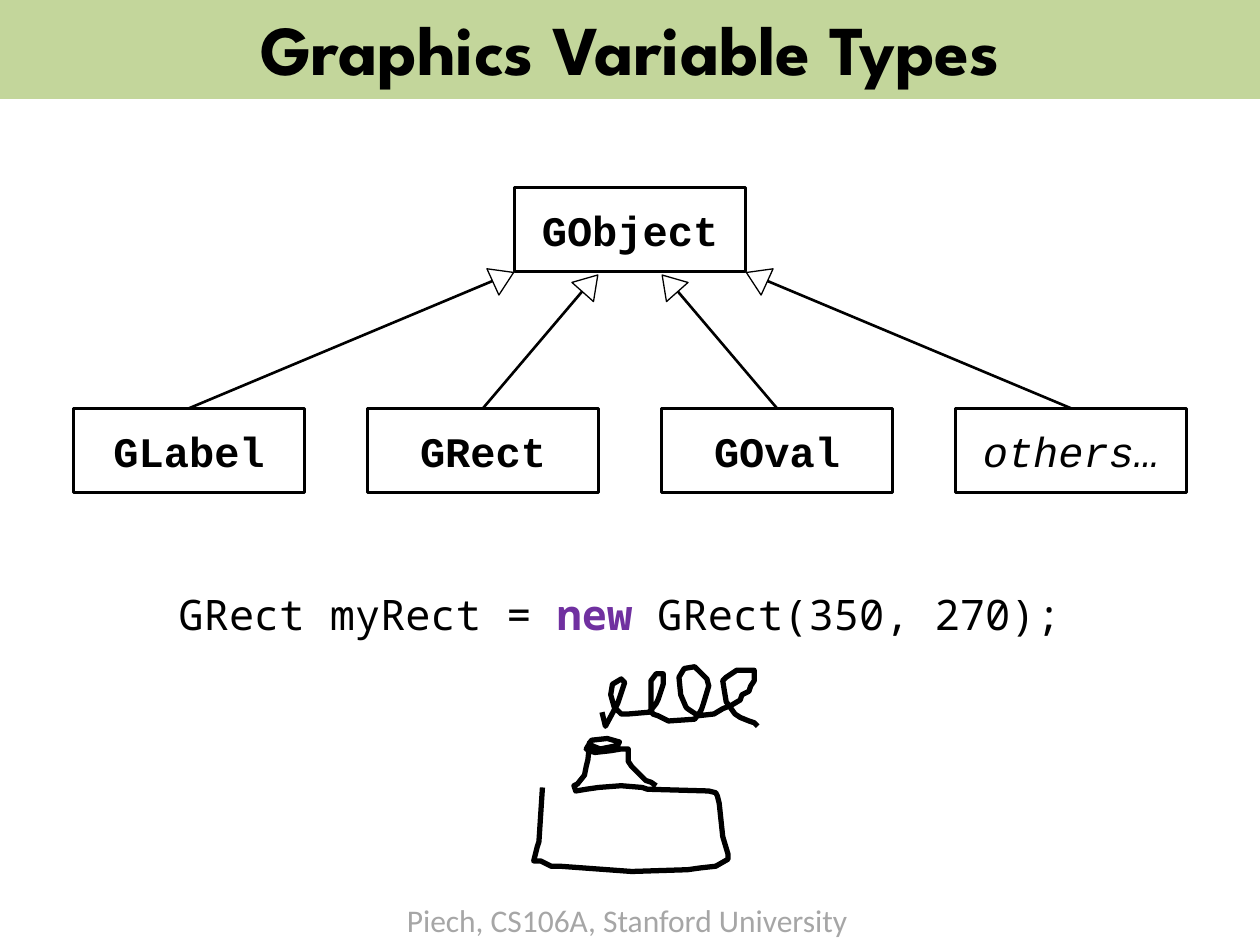
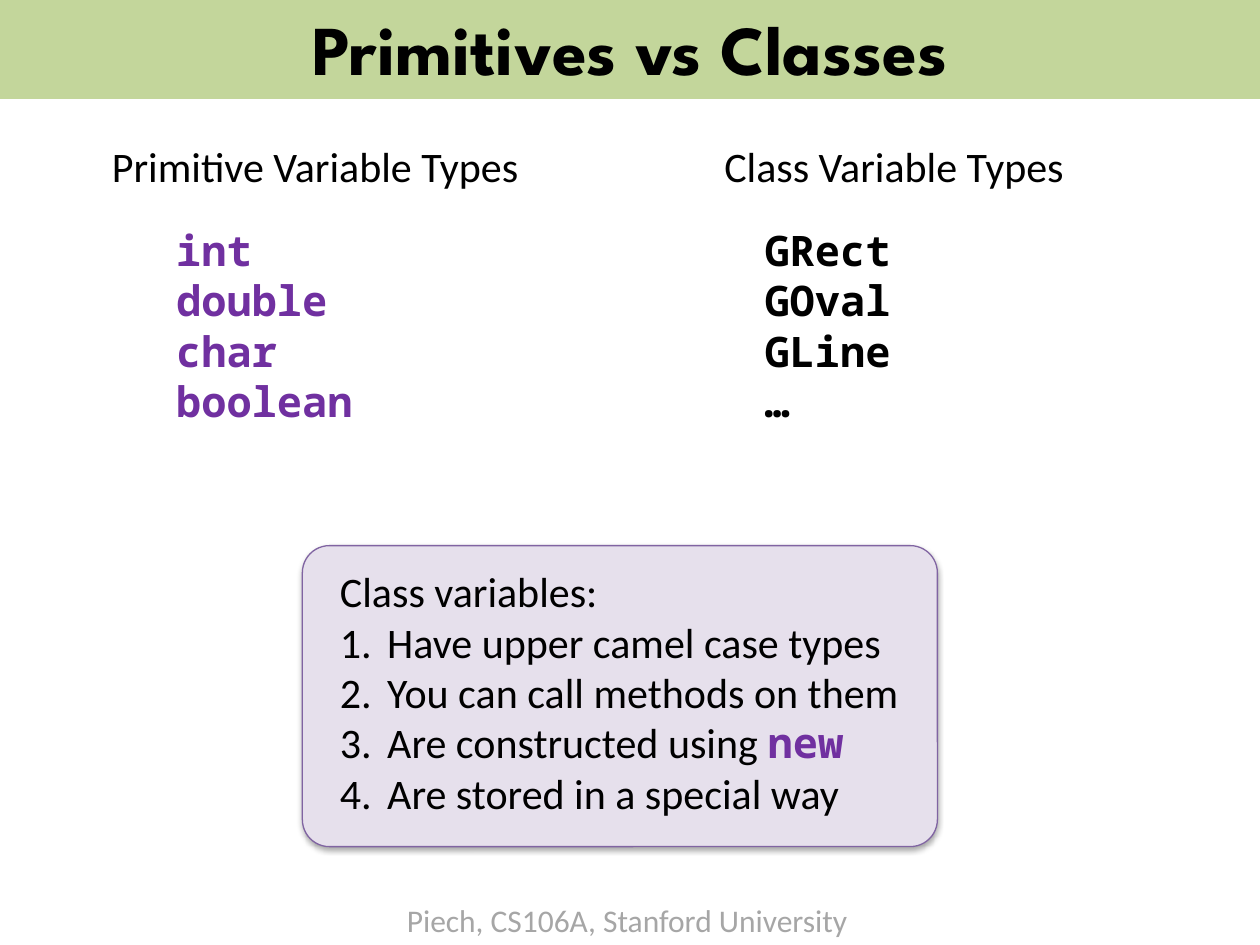
from dataclasses import dataclass

from lxml import etree
from pptx import Presentation
from pptx.dml.color import RGBColor
from pptx.enum import shapes, text
from pptx.oxml import parse_xml
from pptx.oxml.ns import nsdecls, qn
from pptx.util import Pt


@dataclass(frozen=True)
class Theme:
    black: str = "000000"
    white: str = "FFFFFF"
    band: str = "C3D69B"
    keyword: str = "7030A0"
    footer: str = "A6A6A6"
    panel: str = "E6E0EC"
    panel_line: str = "8064A2"
    title_font: str = "League Spartan"
    body_font: str = "Calibri"
    code_font: str = "Noto Sans Mono"
    class_font: str = "Courier New"
    title_size: int = 40
    body_size: int = 24
    footer_size: int = 18


theme = Theme()


def write(shape, lines, font=theme.body_font, size=theme.body_size, color=theme.black,
          bold=False, italic=False, align=text.PP_ALIGN.LEFT,
          anchor=text.MSO_ANCHOR.TOP, wrap=False, grow=True):
    """Fill a shape with lines; a line is a string or a list of (string, format changes)."""
    frame = shape.text_frame
    frame.word_wrap = wrap
    frame.vertical_anchor = anchor
    frame.auto_size = text.MSO_AUTO_SIZE.SHAPE_TO_FIT_TEXT if grow else text.MSO_AUTO_SIZE.NONE
    for index, line in enumerate(lines):
        paragraph = frame.add_paragraph() if index else frame.paragraphs[0]
        paragraph.alignment = align
        for words, changes in [(line, {})] if isinstance(line, str) else line:
            look = dict(font=font, color=color, bold=bold) | changes
            run = paragraph.add_run()
            run.text = words
            run.font.name = look["font"]
            run.font.size = Pt(size)
            run.font.bold = look["bold"]
            run.font.italic = italic
            run.font.color.rgb = RGBColor.from_string(look["color"])
    return shape


def add_box(slide, kind, left, top, width, height, fill=theme.white, line=theme.black, weight=1.5):
    shape = slide.shapes.add_shape(kind, Pt(left), Pt(top), Pt(width), Pt(height))
    shape.shadow.inherit = False
    shape.fill.solid()
    shape.fill.fore_color.rgb = RGBColor.from_string(fill)
    shape.line.color.rgb = RGBColor.from_string(line)
    shape.line.width = Pt(weight)
    return shape


presentation = Presentation()
presentation.slide_width, presentation.slide_height = Pt(720), Pt(540)
centered = dict(align=text.PP_ALIGN.CENTER, anchor=text.MSO_ANCHOR.MIDDLE, grow=False)
keyword = dict(font=theme.code_font, color=theme.keyword, bold=True)

# Title band and footer of every slide
slides = []
for heading in ("Graphics Variable Types", "Primitives vs Classes"):
    slide = presentation.slides.add_slide(presentation.slide_layouts[5])
    title = slide.shapes.title
    title.left, title.top, title.width, title.height = Pt(0), Pt(-2.4), Pt(720), Pt(59)
    title.fill.solid()
    title.fill.fore_color.rgb = RGBColor.from_string(theme.band)
    write(title, [heading], font=theme.title_font, size=theme.title_size, bold=True,
          wrap=True, **centered)
    footer = slide.shapes.add_textbox(Pt(225.4), Pt(511.2), Pt(269.3), Pt(29))
    write(footer, ["Piech, CS106A, Stanford University"], size=theme.footer_size,
          color=theme.footer)
    slides.append(slide)
types_slide, compare_slide = slides

# Class hierarchy
BOX_WIDTH, BOX_HEIGHT, CHILD_TOP = 132, 48, 233.3
class_boxes = [("GObject", 294, 107.3)]
class_boxes += [(name, 42 + 168 * column, CHILD_TOP)
                for column, name in enumerate(("GLabel", "GRect", "GOval", "others…"))]
for name, left, top in class_boxes:
    box = add_box(types_slide, shapes.MSO_SHAPE.RECTANGLE, left, top, BOX_WIDTH, BOX_HEIGHT)
    is_class = name != "others…"
    write(box, [name], font=theme.class_font, bold=is_class, italic=not is_class, **centered)

# Hollow inheritance arrows: the right half mirrors the left
HEAD_WIDTH, HEAD_HEIGHT = 16.5, 13
left_arrows = [
    # start x, end x, end y, head centre x, head centre y, head rotation
    (108, 290, 157, 287.6, 158.4, 65.5),
    (276, 339, 159.1, 337.3, 162, 41.6),
]
right_arrows = [(720 - start, 720 - end, end_y, 720 - head_x, head_y, 360 - turn)
                for start, end, end_y, head_x, head_y, turn in left_arrows]
for start, end, end_y, head_x, head_y, turn in left_arrows + right_arrows:
    connector = types_slide.shapes.add_connector(
        shapes.MSO_CONNECTOR.STRAIGHT, Pt(start), Pt(CHILD_TOP), Pt(end), Pt(end_y))
    connector.line.color.rgb = RGBColor.from_string(theme.black)
    connector.line.width = Pt(1.5)
    etree.SubElement(connector._element.spPr, qn("a:effectLst"))
    head = add_box(types_slide, shapes.MSO_SHAPE.ISOSCELES_TRIANGLE,
                   head_x - HEAD_WIDTH / 2, head_y - HEAD_HEIGHT / 2,
                   HEAD_WIDTH, HEAD_HEIGHT, weight=0.75)
    head.rotation = turn

code = types_slide.shapes.add_textbox(Pt(95), Pt(332.6), Pt(522.7), Pt(36))
write(code, [[("GRect myRect = ", {}), ("new ", keyword), ("GRect(350, 270);", {})]],
      font=theme.code_font)

# Hand-drawn factory and its smoke
factory = [
    (310, 450), (308, 481), (307, 484), (305, 492), (309, 492), (315, 495), (320, 495),
    (361, 498), (393, 497), (400, 496), (409, 495), (416, 491), (416, 488), (413, 478),
    (411, 459), (410, 455), (409, 453), (405, 452), (370, 451), (367, 450), (355, 449),
    (342, 450), (335, 451), (329, 452), (328, 449), (330, 448), (334, 443), (335, 438),
    (336, 434), (337, 424), (338, 426), (343, 428), (353, 426), (354, 424), (347, 422),
    (338, 423), (335, 428), (337, 429), (340, 430), (349, 429), (355, 428), (359, 428),
    (359, 435), (361, 438), (367, 444), (369, 446), (372, 447), (375, 449),
]
smoke = [
    (344, 407), (346, 415), (353, 402), (357, 390), (355, 388), (350, 391), (349, 397),
    (351, 404), (355, 408), (359, 408), (371, 407), (375, 402), (376, 400), (377, 397),
    (379, 391), (379, 385), (375, 385), (372, 389), (372, 392), (372, 405), (373, 408),
    (376, 409), (382, 412), (397, 411), (400, 407), (401, 405), (402, 402), (405, 392),
    (404, 388), (399, 383), (397, 381), (391, 382), (388, 387), (389, 397), (392, 404),
    (393, 405), (399, 409), (408, 408), (413, 405), (418, 403), (423, 400), (424, 397),
    (428, 395), (429, 392), (431, 389), (431, 383), (421, 383), (415, 387), (413, 389),
    (415, 401), (420, 408), (423, 410), (428, 412), (431, 413), (433, 415),
]
for stroke in (factory, smoke):
    builder = types_slide.shapes.build_freeform(*stroke[0], scale=Pt(1))
    builder.add_line_segments(stroke[1:], close=False)
    drawing = builder.convert_to_shape()
    drawing.shadow.inherit = False
    drawing.fill.background()
    drawing.line.color.rgb = RGBColor.from_string(theme.black)
    drawing.line.width = Pt(3)

# Two columns of types
code_bold = dict(font=theme.code_font, bold=True)
columns = [
    (["Primitive Variable Types"], 56.9, 77, 249, 36, {}),
    (["Class Variable Types"], 406.8, 77, 210, 36, {}),
    (["int", "double", "char", "boolean"], 93.6, 124.6, 116, 124, keyword),
    (["GRect", "GOval", "GLine", "…"], 429.8, 124.6, 87, 124, code_bold),
]
for lines, left, top, width, height, look in columns:
    column = compare_slide.shapes.add_textbox(Pt(left), Pt(top), Pt(width), Pt(height))
    write(column, lines, **look)

# Summary panel with a soft shadow
panel = add_box(compare_slide, shapes.MSO_SHAPE.ROUNDED_RECTANGLE, 172.8, 311.8, 362.9, 172,
                fill=theme.panel, line=theme.panel_line, weight=0.75)
panel.adjustments[0] = 0.09
panel._element.spPr.find(qn("a:effectLst")).append(parse_xml(
    f'<a:outerShdw {nsdecls("a")} blurRad="{Pt(3.1)}" dist="{Pt(1.8)}" dir="5400000" rotWithShape="0">'
    f'<a:srgbClr val="{theme.black}"><a:alpha val="35000"/></a:srgbClr></a:outerShdw>'))

summary = compare_slide.shapes.add_textbox(Pt(187.2), Pt(319.7), Pt(338.4), Pt(181.4))
write(summary, [
    "Class variables:",
    "Have upper camel case types",
    "You can call methods on them",
    [("Are constructed using ", {}), ("new", keyword)],
    "Are stored in a special way",
])
for paragraph in summary.text_frame.paragraphs[1:]:
    properties = paragraph._p.get_or_add_pPr()
    properties.set("marL", str(Pt(27)))
    properties.set("indent", str(-Pt(27)))
    etree.SubElement(properties, qn("a:buFont"), typeface="+mj-lt")
    etree.SubElement(properties, qn("a:buAutoNum"), type="arabicPeriod")

presentation.save("out.pptx")
